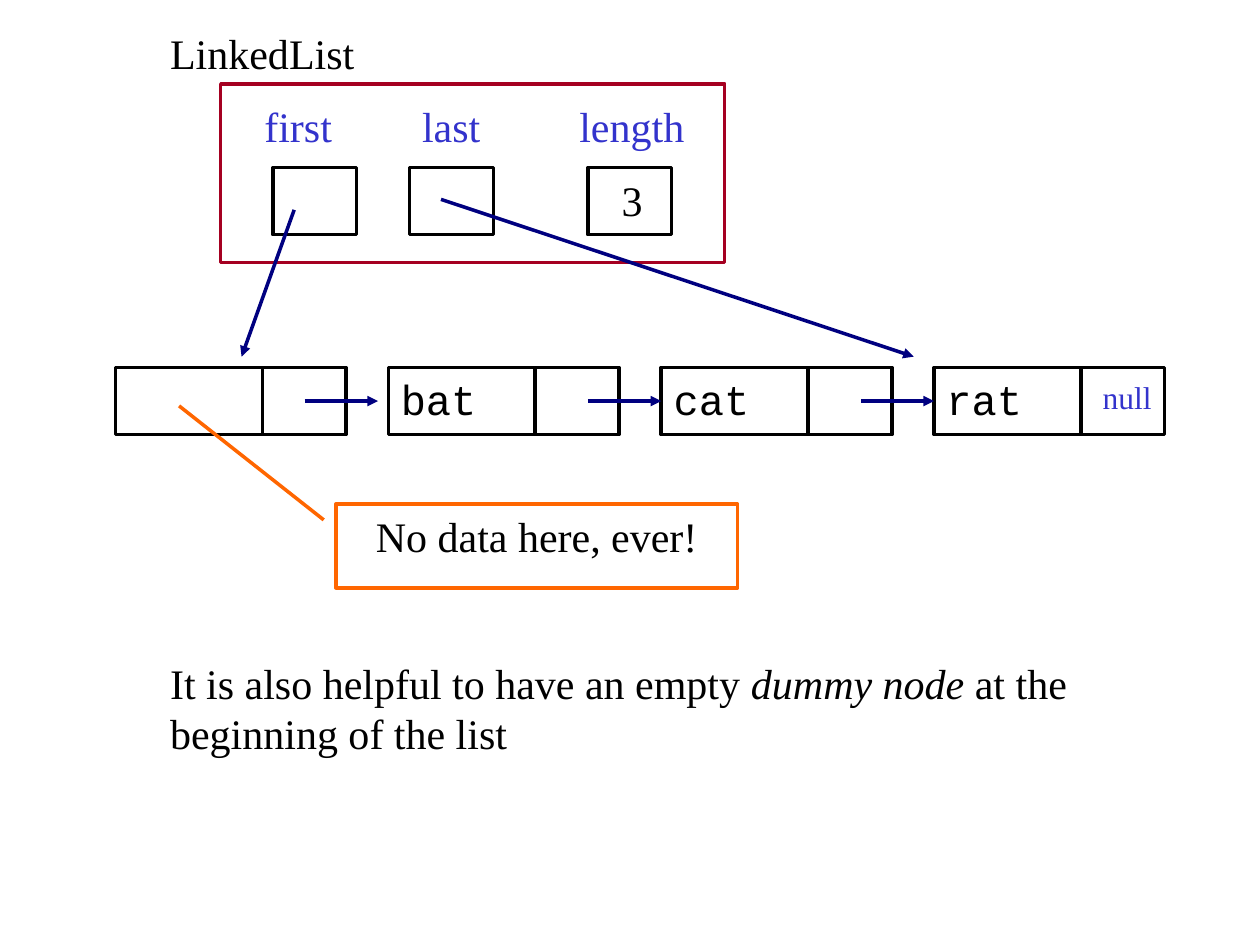
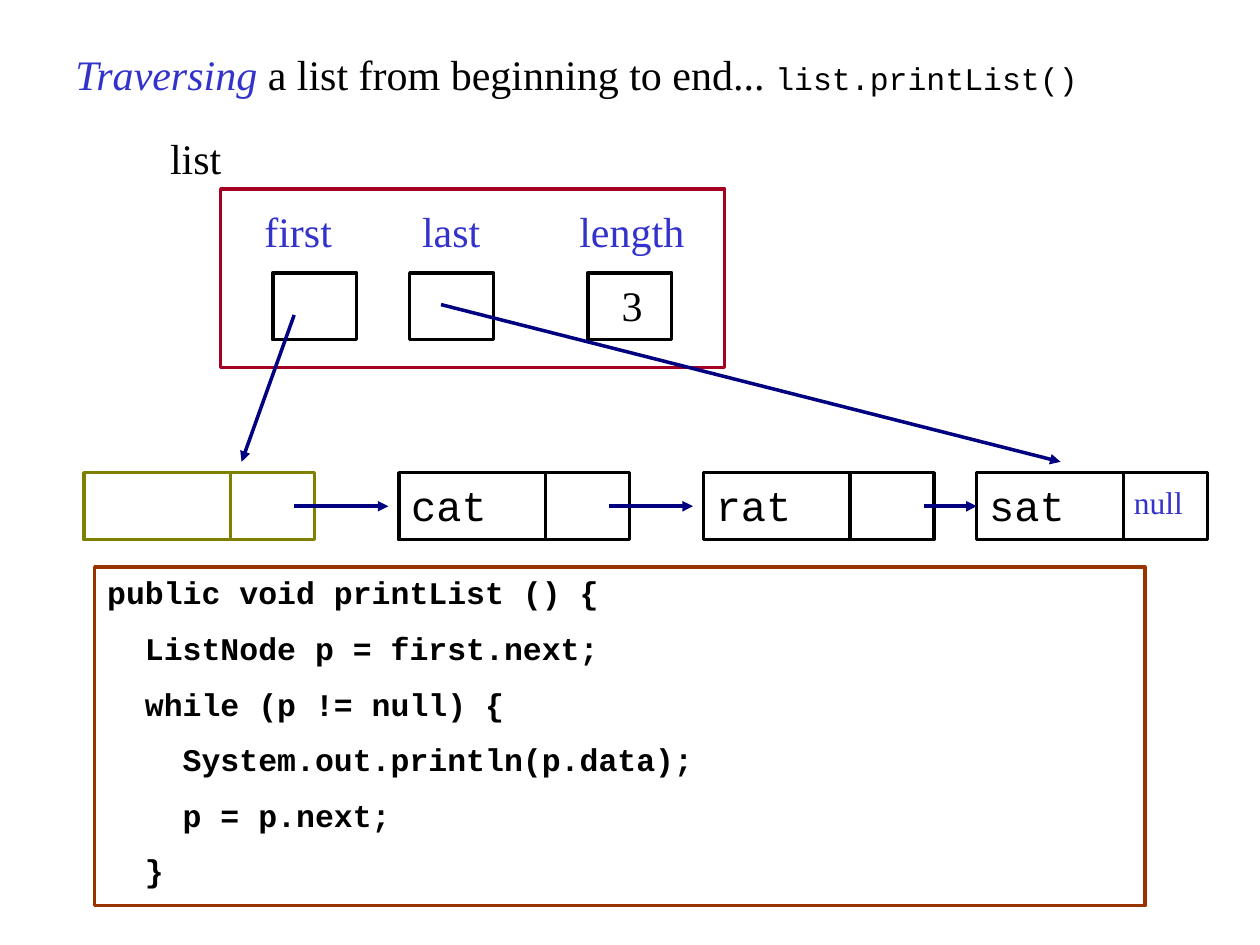
from dataclasses import dataclass

from lxml import etree
from pptx import Presentation
from pptx.dml.color import RGBColor
from pptx.enum.shapes import MSO_CONNECTOR, MSO_SHAPE
from pptx.enum.text import MSO_ANCHOR, PP_ALIGN
from pptx.oxml.ns import qn
from pptx.util import Cm, Pt

RECTANGLE = MSO_SHAPE.RECTANGLE
CALLOUT = MSO_SHAPE.LINE_CALLOUT_1
STRAIGHT = MSO_CONNECTOR.STRAIGHT
TOP = MSO_ANCHOR.TOP
LEFT, CENTER = PP_ALIGN.LEFT, PP_ALIGN.CENTER
LEFT_SIDE = 1


@dataclass(frozen=True)
class Theme:
    ink: str = "000000"
    label: str = "3333CC"
    frame: str = "A50021"
    pointer: str = "000080"
    dummy: str = "808000"
    callout: str = "FF6600"
    code: str = "993300"
    serif: str = "Times New Roman"
    mono: str = "Courier New"
    body: int = 24
    small: int = 18
    line: int = 2
    code_gap: float = 10.2


THEME = Theme()

# Lengths in centimetres
CELL_HEIGHT = 1.35
DATA_WIDTH = 2.96
LINK_WIDTH = 1.69
NODE_DROP = 5.72
ARROW_DROP = 5.5


def write(frame, text, size=THEME.body, font=THEME.serif, color=THEME.ink,
          bold=False, align=LEFT, gap=0, margins=(0.25, 0.13)):
    """Fill a text frame; text is a string of lines or a list of (text, format) spans."""
    frame.word_wrap = True
    frame.vertical_anchor = TOP
    frame.margin_left = frame.margin_right = Cm(margins[0])
    frame.margin_top = frame.margin_bottom = Cm(margins[1])
    if isinstance(text, str):
        lines = [[(line, {})] for line in text.split("\n")]
    else:
        lines = [text]
    for index, spans in enumerate(lines):
        para = frame.paragraphs[0] if index == 0 else frame.add_paragraph()
        para.alignment = align
        if index:
            para.space_before = Pt(gap)
        for words, look in spans:
            span = para.add_run()
            span.text = words
            span.font.size = Pt(look.get("size", size))
            span.font.name = look.get("font", font)
            span.font.bold = bold
            span.font.italic = look.get("italic", False)
            span.font.color.rgb = RGBColor.from_string(look.get("color", color))


def add_label(page, left, top, width, height, text, **look):
    box = page.shapes.add_textbox(Cm(left), Cm(top), Cm(width), Cm(height))
    write(box.text_frame, text, **look)


def add_box(shapes, left, top, width, height, color=THEME.ink, kind=RECTANGLE,
            text="", **look):
    box = shapes.add_shape(kind, Cm(left), Cm(top), Cm(width), Cm(height))
    box.shadow.inherit = False
    box.fill.background()
    box.line.color.rgb = RGBColor.from_string(color)
    box.line.width = Pt(THEME.line)
    if text:
        write(box.text_frame, text, **look)
    return box


def add_arrow(page, start, end):
    arrow = page.shapes.add_connector(STRAIGHT, *(Cm(n) for n in (*start, *end)))
    arrow.line.color.rgb = RGBColor.from_string(THEME.pointer)
    arrow.line.width = Pt(THEME.line)
    etree.SubElement(arrow.line._get_or_add_ln(), qn("a:tailEnd"), type="triangle")
    etree.SubElement(arrow._element.spPr, qn("a:effectLst"))
    return arrow


def add_list_record(page, top, name, last_target):
    """Draw the list object with its three fields and its two pointers."""
    add_box(page.shapes, 4.45, top, 10.16, 3.6, THEME.frame)
    add_label(page, 3.18, top - 1.27, 4.45, 1.27, name)
    fields = (("first", 5.08, 2.34, 5.5), ("last", 8.26, 2.34, 8.26),
              ("length", 11.43, 2.74, 11.85))
    for field, label_left, label_width, cell_left in fields:
        add_label(page, label_left, top + 0.21, label_width, 1.27, field,
                  color=THEME.label)
        add_box(page.shapes, cell_left, top + 1.69, LINK_WIDTH, CELL_HEIGHT)
    add_label(page, 12.28, top + 1.69, 1.07, 1.27, "3")
    add_arrow(page, (5.93, top + 2.54), (4.87, top + ARROW_DROP))
    add_arrow(page, (8.89, top + 2.33), (last_target, top + ARROW_DROP))


def add_node(page, left, top, word, color):
    """Draw a data cell and a link cell as one group; return the data cell."""
    cells = page.shapes.add_group_shape().shapes
    data = add_box(cells, left, top, DATA_WIDTH, CELL_HEIGHT, color,
                   text=word, font=THEME.mono)
    add_box(cells, left + DATA_WIDTH, top, LINK_WIDTH, CELL_HEIGHT, color)
    return data


def add_chain(page, top, nodes, links, null_left, dummy_color=THEME.ink):
    """Draw (left, word) nodes and, between neighbours, (start, gap before next) links."""
    cells = [add_node(page, left, top, word, THEME.ink if word else dummy_color)
             for left, word in nodes]
    middle = top + CELL_HEIGHT / 2
    for (start, gap), (left, _), cell in zip(links, nodes[1:], cells[1:]):
        arrow = add_arrow(page, (start, middle), (left - gap, middle))
        if not gap:
            arrow.end_connect(cell, LEFT_SIDE)
    add_label(page, null_left, top + 0.21, 1.48, 0.76, "null", size=THEME.small,
              color=THEME.label, margins=(0, 0))


def add_dummy_callout(page):
    callout = add_box(page.shapes, 6.77, 10.16, 8.1, 1.69, THEME.callout, CALLOUT,
                      text="No data here, ever!", align=CENTER)
    for index, value in enumerate((0.19, -0.03, -1.17, -0.39)):
        callout.adjustments[index] = value


def build_dummy_node_page(page):
    top = 1.69
    add_list_record(page, top, "LinkedList", last_target=18.42)
    words = ("", "bat", "cat", "rat")
    nodes = [(2.33 + 5.5 * index, word) for index, word in enumerate(words)]
    add_chain(page, top + NODE_DROP, nodes,
              links=((6.14, 0.21), (11.85, 0), (17.36, 0)), null_left=22.23)
    add_label(page, 3.18, 13.12, 19, 2.29, [
        ("It is also helpful to have an empty ", {}),
        ("dummy node", {"italic": True}),
        (" at the beginning of the list", {}),
    ])
    add_dummy_callout(page)


def build_traversal_page(page):
    top = 3.81
    add_label(page, 1.27, 0.85, 22.44, 1.27, [
        ("Traversing", {"color": THEME.label, "italic": True}),
        (" a list from beginning to end... ", {}),
        ("list.printList()", {"font": THEME.mono, "size": THEME.small}),
    ])
    add_list_record(page, top, "list", last_target=21.38)
    nodes = ((1.69, ""), (8.04, "cat"), (14.18, "rat"), (19.69, "sat"))
    add_chain(page, top + NODE_DROP, nodes,
              links=((5.93, 0.21), (12.28, 0.21), (18.63, 0)), null_left=22.86,
              dummy_color=THEME.dummy)
    code = """public void printList () {
  ListNode p = first.next;
  while (p != null) {
    System.out.println(p.data);
    p = p.next;
  }"""
    add_box(page.shapes, 1.91, 11.43, 21.17, 6.83, THEME.code, text=code,
            size=THEME.small, font=THEME.mono, bold=True, gap=THEME.code_gap)


def main():
    deck = Presentation()
    deck.slide_width, deck.slide_height = Cm(25.4), Cm(19.05)
    blank = deck.slide_layouts[6]
    for build in (build_dummy_node_page, build_traversal_page):
        build(deck.slides.add_slide(blank))
    deck.save("out.pptx")


if __name__ == "__main__":
    main()
